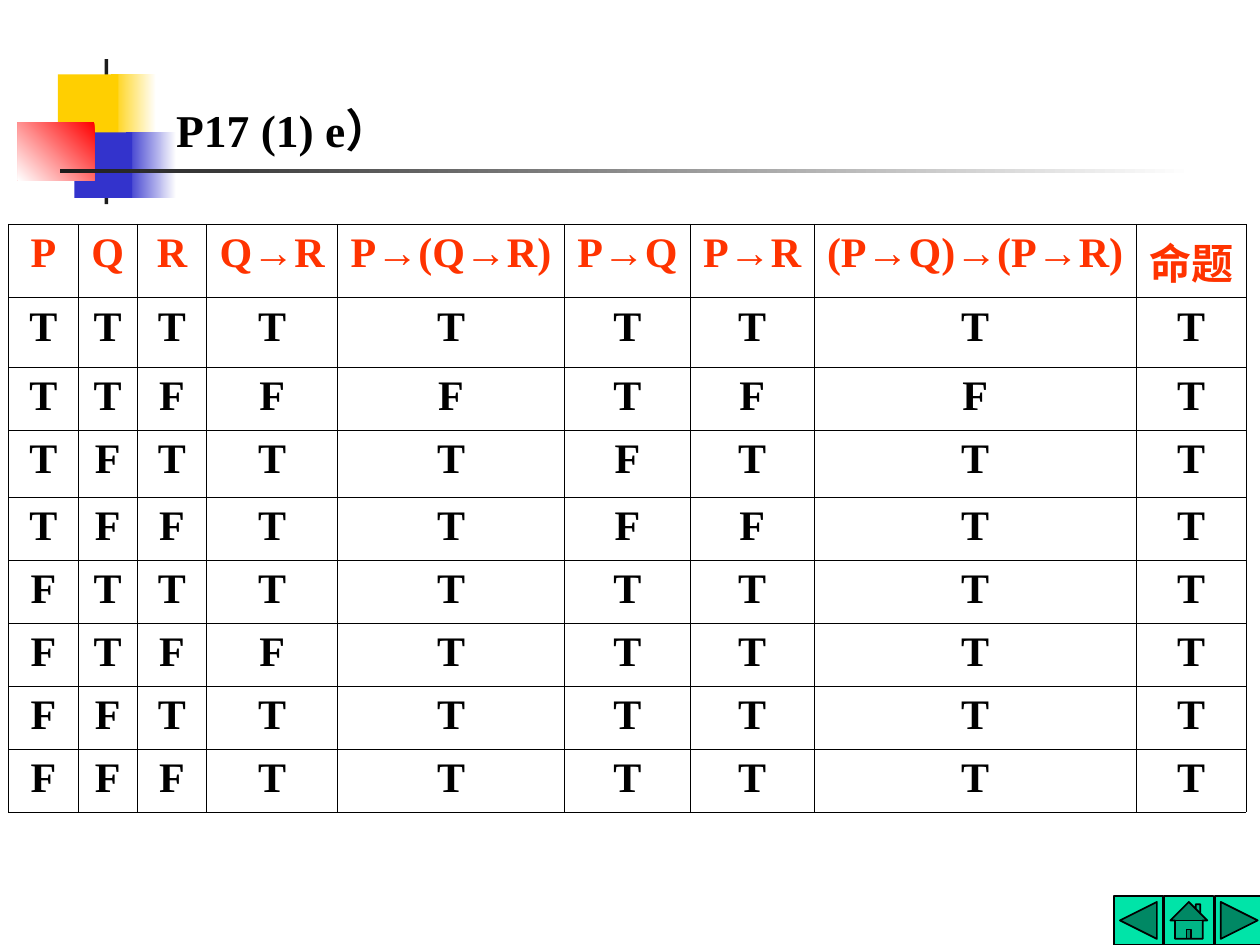
from dataclasses import dataclass
from itertools import product

from lxml.etree import SubElement
from pptx import Presentation
from pptx.dml.color import RGBColor
from pptx.enum.shapes import MSO_SHAPE
from pptx.enum.text import PP_ALIGN
from pptx.oxml.ns import qn
from pptx.util import Inches, Pt


@dataclass(frozen=True)
class Theme:
    font: str = "Times New Roman"
    title_size: int = 26
    table_size: int = 24
    black: str = "000000"
    white: str = "FFFFFF"
    heading: str = "FF3300"
    yellow: str = "FFCF01"
    blue: str = "3333CC"
    red: str = "FF0000"
    dark: str = "1C1C1C"
    button: str = "00E4A8"
    border_width: float = 0.45


THEME = Theme()


def write(frame, text, size, color=THEME.black, align=PP_ALIGN.LEFT):
    paragraph = frame.paragraphs[0]
    paragraph.alignment = align
    run = paragraph.add_run()
    run.text = text
    run.font.name = THEME.font
    run.font.size = Pt(size)
    run.font.bold = True
    run.font.color.rgb = RGBColor.from_string(color)


def add_block(slide, left, top, width, height, colors, angle=180):
    """Add a borderless rectangle: one colour is solid, two make a gradient."""
    block = slide.shapes.add_shape(
        MSO_SHAPE.RECTANGLE, Inches(left), Inches(top), Inches(width), Inches(height))
    block.shadow.inherit = False
    block.line.fill.background()
    if len(colors) == 1:
        block.fill.solid()
        block.fill.fore_color.rgb = RGBColor.from_string(colors[0])
        return
    block.fill.gradient()
    block.fill.gradient_angle = angle
    for stop, color, position in zip(block.fill.gradient_stops, colors, (0, 1)):
        stop.color.rgb = RGBColor.from_string(color)
        stop.position = position


def add_ornament(slide, left, top):
    """Overlapping squares with a vertical bar and a fading rule."""
    blocks = [
        (0.74, 0.12, 0.36, 0.52, (THEME.white, THEME.yellow)),
        (0.86, 0.58, 0.4, 0.52, (THEME.white, THEME.blue)),
        (0.69, 0, 0.03, 1.15, (THEME.dark,)),
        (0.32, 0.12, 0.48, 0.52, (THEME.yellow,)),
        (0.45, 0.58, 0.46, 0.52, (THEME.blue,)),
        (0, 0.5, 0.61, 0.46, (THEME.red, THEME.white), 225),
        (0.34, 0.87, 9, 0.03, (THEME.white, THEME.dark)),
    ]
    for x, y, *details in blocks:
        add_block(slide, left + x, top + y, *details)


def add_navigation(slide, left, top, size=0.39, step=0.4):
    buttons = (MSO_SHAPE.ACTION_BUTTON_BACK_OR_PREVIOUS,
               MSO_SHAPE.ACTION_BUTTON_HOME,
               MSO_SHAPE.ACTION_BUTTON_FORWARD_OR_NEXT)
    for index, kind in enumerate(buttons):
        button = slide.shapes.add_shape(
            kind, Inches(left + index * step), Inches(top), Inches(size), Inches(size))
        button.shadow.inherit = False
        button.fill.solid()
        button.fill.fore_color.rgb = RGBColor.from_string(THEME.button)
        button.line.color.rgb = RGBColor.from_string(THEME.black)
        button.line.width = Pt(1)


def add_title(slide, left, top, width, height):
    title = slide.shapes.add_textbox(
        Inches(left), Inches(top), Inches(width), Inches(height))
    title.text_frame.word_wrap = True
    write(title.text_frame, "P17 (1) e）", THEME.title_size)


def truth_rows():
    """Evaluate each column of the proposition for every assignment."""
    def implies(a, b):
        return not a or b

    for p, q, r in product((True, False), repeat=3):
        qr, pq, pr = implies(q, r), implies(p, q), implies(p, r)
        premise, conclusion = implies(p, qr), implies(pq, pr)
        values = (p, q, r, qr, premise, pq, pr, conclusion,
                  implies(premise, conclusion))
        yield ["T" if value else "F" for value in values]


def style_cell(cell):
    properties = cell._tc.get_or_add_tcPr()
    for side in ("a:lnL", "a:lnR", "a:lnT", "a:lnB"):
        border = SubElement(properties, qn(side), w=str(Pt(THEME.border_width)))
        SubElement(SubElement(border, qn("a:solidFill")), qn("a:srgbClr"),
                   val=THEME.black)
    cell.fill.solid()
    cell.fill.fore_color.rgb = RGBColor.from_string(THEME.white)
    cell.margin_left = cell.margin_right = Inches(0.05)


def add_truth_table(slide, left, top):
    headings = ["P", "Q", "R", "Q→R", "P→(Q→R)", "P→Q", "P→R",
                "(P→Q)→(P→R)", "命题"]
    widths = [0.55, 0.47, 0.55, 1.04, 1.8, 1, 0.98, 2.56, 0.87]
    heights = [0.55, 0.55, 0.5, 0.53] + [0.5] * 5
    table = slide.shapes.add_table(
        len(heights), len(widths), Inches(left), Inches(top),
        Inches(sum(widths)), Inches(sum(heights))).table
    for column, width in zip(table.columns, widths):
        column.width = Inches(width)
    for row, height, texts in zip(table.rows, heights, [headings, *truth_rows()]):
        row.height = Inches(height)
        color = THEME.heading if texts is headings else THEME.black
        for cell, text in zip(row.cells, texts):
            style_cell(cell)
            write(cell.text_frame, text, THEME.table_size, color=color,
                  align=PP_ALIGN.CENTER)


def main():
    deck = Presentation()
    deck.slide_width, deck.slide_height = Inches(10), Inches(7.5)
    slide = deck.slides.add_slide(deck.slide_layouts[6])
    # Background decoration and navigation
    add_ornament(slide, 0.14, 0.47)
    add_navigation(slide, 8.84, 7.11)
    # Content
    add_truth_table(slide, 0.07, 1.78)
    add_title(slide, 1.3, 0.76, 2.44, 0.54)
    deck.save("out.pptx")


if __name__ == "__main__":
    main()
